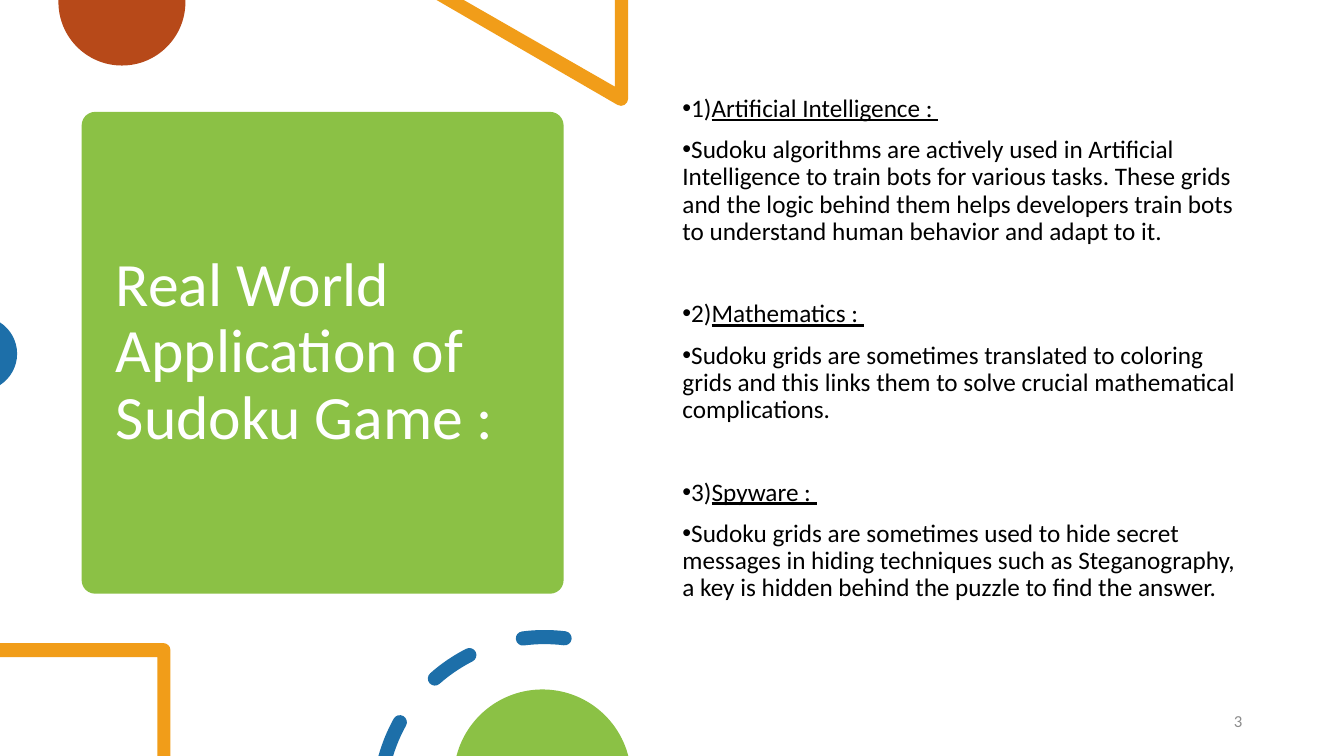
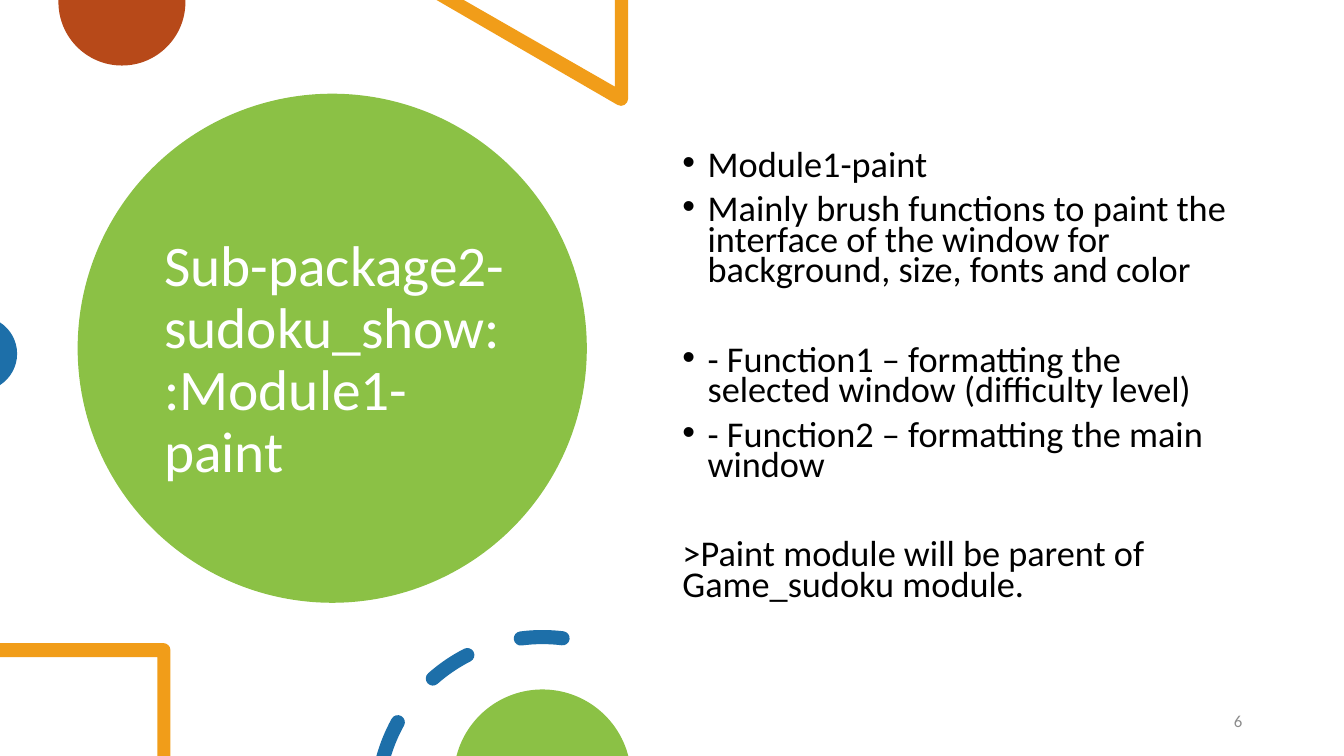
from math import asin, ceil, cos, degrees, radians, sin, tan

from lxml import etree
from pptx import Presentation
from pptx.dml.color import RGBColor
from pptx.enum.shapes import MSO_SHAPE
from pptx.enum.text import MSO_ANCHOR, MSO_AUTO_SIZE, PP_ALIGN
from pptx.oxml.ns import qn
from pptx.util import Inches, Pt

ROUNDED, OVAL = MSO_SHAPE.ROUNDED_RECTANGLE, MSO_SHAPE.OVAL
TOP, MIDDLE = MSO_ANCHOR.TOP, MSO_ANCHOR.MIDDLE
LEFT, RIGHT = PP_ALIGN.LEFT, PP_ALIGN.RIGHT
NO_FIT = MSO_AUTO_SIZE.NONE

GREEN = RGBColor(0x8B, 0xC1, 0x45)
RUST = RGBColor(0xB7, 0x49, 0x19)
ORANGE = RGBColor(0xF1, 0x9D, 0x19)
BLUE = RGBColor(0x1D, 0x6F, 0xA9)
WHITE = RGBColor(0xFF, 0xFF, 0xFF)
BLACK = RGBColor(0x00, 0x00, 0x00)
GRAY = RGBColor(0x8C, 0x8C, 0x8C)

FONT, BULLET_FONT = "Calibri", "Arial"
WIDTH, HEIGHT = 13.33, 7.5
NUMBER_BOX = (11.49, 6.95, 0.93, 0.4)
STROKE = 0.07


def place(shape, box):
    """Move a shape to a box in inches."""
    shape.left, shape.top, shape.width, shape.height = map(Inches, box)


def paint(shape, color):
    """Give a shape a flat fill with no line or shadow."""
    shape.shadow.inherit = False
    shape.fill.solid()
    shape.fill.fore_color.rgb = color
    shape.line.fill.background()


def add_run(paragraph, text, size, color, underlined=False):
    """Append one formatted run."""
    run = paragraph.add_run()
    run.text = text
    run.font.name, run.font.size = FONT, Pt(size)
    run.font.color.rgb = color
    if underlined:
        run.font.underline = True


def prepare_frame(shape, anchor):
    """Set wrapping and anchor, and return the text frame."""
    frame = shape.text_frame
    frame.word_wrap = True
    frame.auto_size = NO_FIT
    frame.vertical_anchor = anchor
    return frame


def on_circle(x, y, radius, angle):
    """Return the point at an angle, in degrees clockwise from the right."""
    return x + radius * cos(radians(angle)), y + radius * sin(radians(angle))


def lines(*points):
    """Return straight steps through points."""
    return [(point,) for point in points]


def arc(x, y, radius, start, end):
    """Return a line to the start of an arc and its curves of up to 90 degrees."""
    count = ceil(abs(end - start) / 90)
    turn = (end - start) / count
    pull = 4 / 3 * tan(radians(turn) / 4) * radius
    steps = lines(on_circle(x, y, radius, start))
    for i in range(count):
        a, b = start + turn * i, start + turn * (i + 1)
        first, last = on_circle(x, y, radius, a), on_circle(x, y, radius, b)
        steps.append((on_circle(*first, pull, a + 90),
                      on_circle(*last, pull, b - 90), last))
    return steps


def dash(x, y, radius, start, end):
    """Return a curved dash with round ends, cut off at the slide bottom."""
    outer, inner = radius + STROKE, radius - STROKE
    outer_cut, inner_cut = (degrees(asin((y - HEIGHT) / r)) - 180
                            for r in (outer, inner))
    steps = (arc(x, y, outer, max(start, outer_cut), end)
             + arc(*on_circle(x, y, radius, end), STROKE, end, end + 180)[1:]
             + arc(x, y, inner, end, max(start, inner_cut))[1:])
    if start > inner_cut:
        tail = on_circle(x, y, radius, start)
        steps += arc(*tail, STROKE, start + 180, start + 360)[1:]
    return steps


def add_outline(slide, color, *contours):
    """Draw closed contours of lines and curves as one filled shape."""
    builder = None
    for contour in contours:
        start, *rest = [(Inches(x), Inches(y)) for step in contour for x, y in step]
        if builder is None:
            builder = slide.shapes.build_freeform(*start)
        else:
            builder.move_to(*start)
        builder.add_line_segments(rest, close=True)
    shape = builder.convert_to_shape()
    nodes = iter(list(shape._element.iter(
        qn("a:moveTo"), qn("a:lnTo"))))
    for step in (step for contour in contours for step in contour):
        group = [next(nodes) for _ in step]
        if len(group) == 3:
            curve = etree.Element(qn("a:cubicBezTo"))
            group[0].addprevious(curve)
            for node in group:
                curve.append(node[0])
                node.getparent().remove(node)
    paint(shape, color)


def add_decor(slide, ring_x):
    """Draw the ornaments around the left half of the slide."""
    add_outline(slide, RUST,
                lines((0.58, 0), (1.84, 0)) + arc(1.21, 0.02, 0.63, 0, 180))
    triangle = lines((6.23, 0), (6.1, 0), (6.1, 0.86), (4.6, 0), (4.33, 0))
    add_outline(slide, ORANGE, triangle + arc(6.16, 0.98, STROKE, 120, 0))
    add_outline(slide, BLUE, arc(-0.2, 3.51, 0.37, -57, 57))
    square = lines((1.69, 7.5), (1.56, 7.5), (1.56, 6.52), (0, 6.52), (0, 6.38))
    add_outline(slide, ORANGE, square + arc(1.62, 6.45, STROKE, -90, 0))
    starts = [-97.5 - 34 * i for i in range(3)]
    add_outline(slide, BLUE, *(dash(ring_x, 7.96, 1.64, start, start + 14.5)
                               for start in reversed(starts)))
    add_outline(slide, GREEN, arc(5.38, 7.72, 0.88, 194.5, 345.5))


def add_title_card(slide, preset, box, shares, text, size):
    """Draw the green card and set the title at shares of its box."""
    card = slide.shapes.add_shape(preset, *map(Inches, box))
    if preset == ROUNDED:
        card.adjustments[0] = 0.028
    paint(card, GREEN)
    left, top, width, height = box
    x, y, w, h = shares
    title = slide.shapes.title
    place(title, (left + x * width, top + y * height, w * width, h * height))
    card._element.addnext(title._element)
    paragraph = prepare_frame(title, MIDDLE).paragraphs[0]
    paragraph.alignment, paragraph.line_spacing = LEFT, 0.9
    add_run(paragraph, text, size, WHITE)


def add_bullet(paragraph, margin):
    """Give a paragraph a dot and a hanging indent."""
    properties = paragraph._p.get_or_add_pPr()
    properties.set("marL", str(Inches(margin)))
    properties.set("indent", str(Inches(-0.25)))
    etree.SubElement(properties, qn("a:buFont")).set("typeface", BULLET_FONT)
    etree.SubElement(properties, qn("a:buChar")).set("char", "•")


def add_body(slide, box, paragraphs, size, spacing, margin):
    """Write paragraphs given as space before, bulleted or not, and runs."""
    frame = prepare_frame(slide.shapes.add_textbox(*map(Inches, box)), TOP)
    for i, (before, bulleted, runs) in enumerate(paragraphs):
        paragraph = frame.add_paragraph() if i else frame.paragraphs[0]
        paragraph.line_spacing, paragraph.space_before = spacing, Pt(before)
        if bulleted:
            add_bullet(paragraph, margin)
        for text, underlined in runs:
            add_run(paragraph, text, size, BLACK, underlined)


def add_number(slide, number):
    """Write the slide number at the lower right."""
    box = slide.shapes.add_textbox(*map(Inches, NUMBER_BOX))
    paragraph = prepare_frame(box, MIDDLE).paragraphs[0]
    paragraph.alignment, paragraph.space_after = RIGHT, Pt(6)
    add_run(paragraph, number, 12, GRAY)


def add_slide(deck, card, ring_x, body, number):
    """Add one slide with card, ornaments, body and number."""
    slide = deck.slides.add_slide(deck.slide_layouts[5])
    add_title_card(slide, *card)
    add_decor(slide, ring_x)
    add_body(slide, *body)
    add_number(slide, number)


APPLICATIONS = [
    ("Artificial Intelligence : ",
     "Sudoku algorithms are actively used in Artificial Intelligence to train bots "
     "for various tasks. These grids and the logic behind them helps developers "
     "train bots to understand human behavior and adapt to it."),
    ("Mathematics : ",
     "Sudoku grids are sometimes translated to coloring grids and this links them "
     "to solve crucial mathematical complications."),
    ("Spyware : ",
     "Sudoku grids are sometimes used to hide secret messages in hiding techniques "
     "such as Steganography, a key is hidden behind the puzzle to find the answer."),
]

PAINT_MODULE = [
    (10, True, "Module1-paint"),
    (10, True, "Mainly brush functions to paint the interface of the window for "
               "background, size, fonts and color"),
    (42, True, "- Function1 – formatting the selected window (difficulty level)"),
    (10, True, "- Function2 – formatting the main window"),
    (42, False, ">Paint module will be parent of Game_sudoku module."),
]


def main():
    """Build and save the deck."""
    deck = Presentation()
    deck.slide_width, deck.slide_height = Inches(WIDTH), Inches(HEIGHT)

    applications = []
    for i, (heading, detail) in enumerate(APPLICATIONS):
        applications.append((39.5 if i else 10, True,
                             [(f"{i + 1})", False), (heading, True)]))
        applications.append((10, True, [(detail, False)]))
    add_slide(deck,
              (ROUNDED, (0.81, 1.11, 4.78, 4.78), (0.05, 0.02, 0.9, 0.96),
               "Real World Application of Sudoku Game :", 44),
              5.4,
              ((6.67, 0.9, 5.75, 5.35), applications, 18, 0.9, 0),
              "3")

    paint_module = [(before, bulleted, [(text, False)])
                    for before, bulleted, text in PAINT_MODULE]
    add_slide(deck,
              (OVAL, (0.77, 0.93, 5.05, 5.05), (0.15, 0.09, 0.71, 0.87),
               "Sub-package2-sudoku_show::Module1-paint", 41),
              5.38,
              ((6.67, 1.47, 5.75, 4.78), paint_module, 25.9, 0.7, 0.25),
              "6")
    deck.save("out.pptx")


if __name__ == "__main__":
    main()
